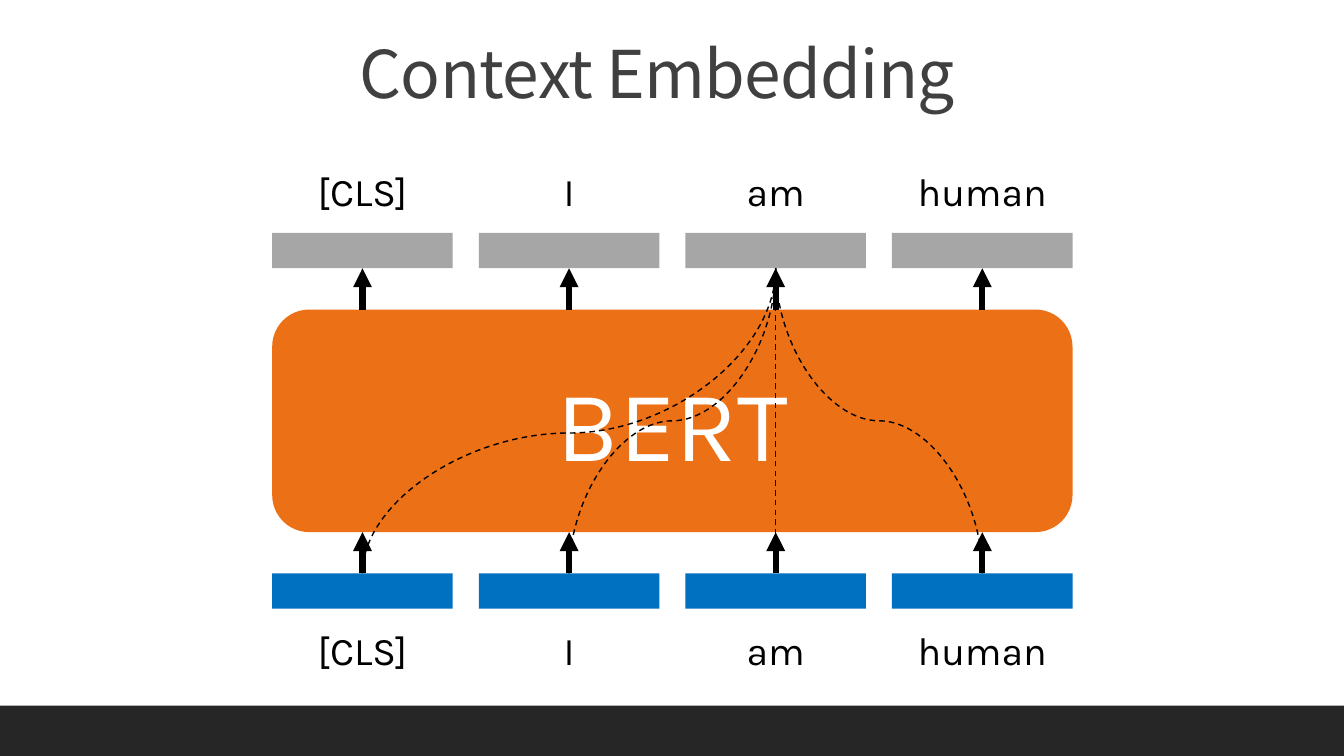
from lxml import etree
from pptx import Presentation
from pptx.dml.color import RGBColor
from pptx.enum.dml import MSO_LINE
from pptx.enum.shapes import MSO_CONNECTOR, MSO_SHAPE
from pptx.enum.text import MSO_ANCHOR, MSO_AUTO_SIZE, PP_ALIGN
from pptx.oxml.ns import qn
from pptx.util import Cm, Pt

TOKENS = ["[CLS]", "I", "am", "human"]
FOCUS = TOKENS.index("am")
BAR_WIDTH, BAR_HEIGHT = 4.55, 0.89
ARROW_LENGTH = 1.04
LABEL_HEIGHT = 1.45
BLACK = "000000"


def color(hex_string):
    return RGBColor.from_string(hex_string)


def write(shape, text, font="Karla", size=28, fill=BLACK, anchor=MSO_ANCHOR.TOP,
          line_spacing=None, letter_spacing=None, grow=False):
    frame = shape.text_frame
    frame.word_wrap = True
    frame.auto_size = MSO_AUTO_SIZE.SHAPE_TO_FIT_TEXT if grow else MSO_AUTO_SIZE.NONE
    frame.vertical_anchor = anchor
    paragraph = frame.paragraphs[0]
    paragraph.alignment = PP_ALIGN.CENTER
    if line_spacing:
        paragraph.line_spacing = line_spacing
    run = paragraph.add_run()
    run.text = text
    run.font.name = font
    run.font.size = Pt(size)
    run.font.color.rgb = color(fill)
    if letter_spacing:
        run.font._element.set("spc", str(round(letter_spacing * 100)))


def add_text(slide, box, text, **text_format):
    shape = slide.shapes.add_textbox(*map(Cm, box))
    write(shape, text, **text_format)


def add_block(slide, box, fill, kind=MSO_SHAPE.RECTANGLE):
    shape = slide.shapes.add_shape(kind, *map(Cm, box))
    shape.shadow.inherit = False
    shape.fill.solid()
    shape.fill.fore_color.rgb = color(fill)
    shape.line.fill.background()
    return shape


def add_line(slide, start, end, width, kind=MSO_CONNECTOR.STRAIGHT,
             arrow=False, dashed=False):
    connector = slide.shapes.add_connector(kind, *map(Cm, (*start, *end)))
    connector.line.color.rgb = color(BLACK)
    connector.line.width = Pt(width)
    if dashed:
        connector.line.dash_style = MSO_LINE.DASH
    if arrow:
        etree.SubElement(connector.line._get_or_add_ln(), qn("a:tailEnd"), type="triangle")
    etree.SubElement(connector._element.spPr, qn("a:effectLst"))
    return connector


def add_rising_curve(slide, start, end, bend=0.5):
    """Curve that leaves start upwards and reaches end from below."""
    middle_x, middle_y = (start[0] + end[0]) / 2, (start[1] + end[1]) / 2
    rise, shift = (start[1] - end[1]) / 2, abs(end[0] - start[0]) / 2
    # The preset curve runs sideways, so it is drawn lying down and then turned
    side = 1 if end[0] > start[0] else -1
    connector = add_line(slide, (middle_x + side * rise, middle_y + shift),
                         (middle_x - side * rise, middle_y - shift), 1,
                         kind=MSO_CONNECTOR.CURVE, dashed=True)
    properties = connector._element.spPr
    properties.find(qn("a:xfrm")).set("rot", str(side * 90 * 60000 % (360 * 60000)))
    geometry = properties.find(qn("a:prstGeom"))
    adjustments = geometry.find(qn("a:avLst"))
    if adjustments is None:
        adjustments = etree.SubElement(geometry, qn("a:avLst"))
    etree.SubElement(adjustments, qn("a:gd"), name="adj1", fmla=f"val {round(bend * 100000)}")


def add_model(slide, left, top, width, height):
    pitch = (width - BAR_WIDTH) / (len(TOKENS) - 1)
    lefts = [left + pitch * index for index in range(len(TOKENS))]
    centers = [bar_left + BAR_WIDTH / 2 for bar_left in lefts]
    output_top = top + 1.78
    output_bottom = output_top + BAR_HEIGHT
    model_top = output_bottom + ARROW_LENGTH
    input_label_top = top + height - LABEL_HEIGHT
    input_top = input_label_top - 1.22
    model_bottom = input_top - ARROW_LENGTH

    # Model block
    model = add_block(slide, (left, model_top, width, model_bottom - model_top),
                      "EC7016", MSO_SHAPE.ROUNDED_RECTANGLE)
    write(model, "BERT", size=72, fill="FFFFFF", anchor=MSO_ANCHOR.MIDDLE)

    # Token vectors with their arrows and labels
    inputs, outputs = [], []
    for token, bar_left, center in zip(TOKENS, lefts, centers):
        inputs.append(add_block(slide, (bar_left, input_top, BAR_WIDTH, BAR_HEIGHT), "0070C0"))
        outputs.append(add_block(slide, (bar_left, output_top, BAR_WIDTH, BAR_HEIGHT), "A6A6A6"))
        arrow_in = add_line(slide, (center, input_top), (center, model_bottom), 4.5, arrow=True)
        arrow_in.begin_connect(inputs[-1], 0)
        arrow_out = add_line(slide, (center, model_top), (center, output_bottom), 4.5, arrow=True)
        arrow_out.end_connect(outputs[-1], 2)
        for label_top in (top, input_label_top):
            add_text(slide, (bar_left, label_top, BAR_WIDTH, LABEL_HEIGHT), token, grow=True)

    # Attention paths from every input to the focus token
    target = (centers[FOCUS], output_bottom)
    for index, center in enumerate(centers):
        if index == FOCUS:
            path_line = add_line(slide, (center, input_top), target, 1, dashed=True)
            path_line.begin_connect(inputs[index], 0)
            path_line.end_connect(outputs[index], 2)
        else:
            add_rising_curve(slide, (center, input_top), target, 0.46 if index == 0 else 0.5)


def add_title(slide, box, text):
    add_text(slide, box, text, font="Noto Sans CJK JP", size=47, fill="404040",
             anchor=MSO_ANCHOR.MIDDLE, line_spacing=0.9, letter_spacing=-0.5)


def main():
    presentation = Presentation()
    presentation.slide_width, presentation.slide_height = Cm(33.87), Cm(19.05)
    slide = presentation.slides.add_slide(presentation.slide_layouts[6])
    # Footer band
    add_block(slide, (0, 17.78, 33.87, 1.27), "262626")
    add_model(slide, 6.86, 4.09, 20.17, 13.03)
    add_title(slide, (1.63, 0.74, 29.87, 2.39), "Context Embedding")
    presentation.save("out.pptx")


if __name__ == "__main__":
    main()
